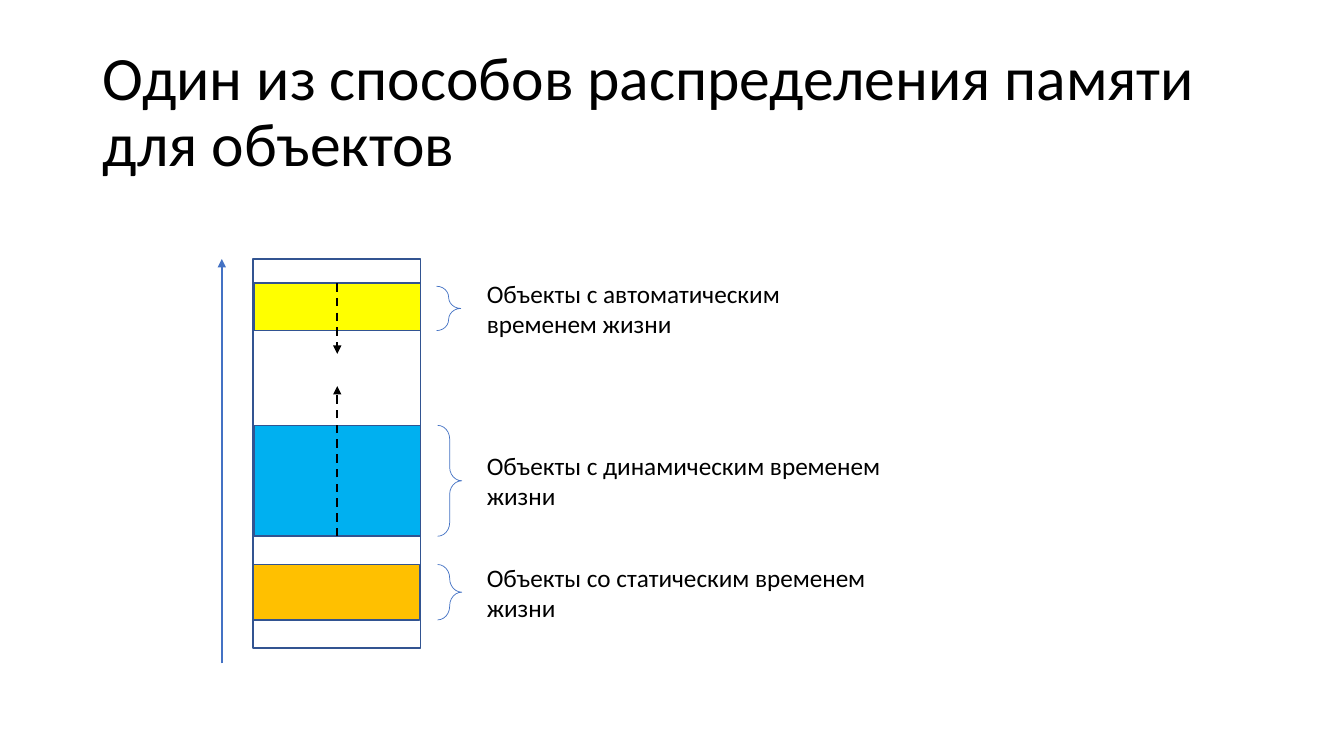
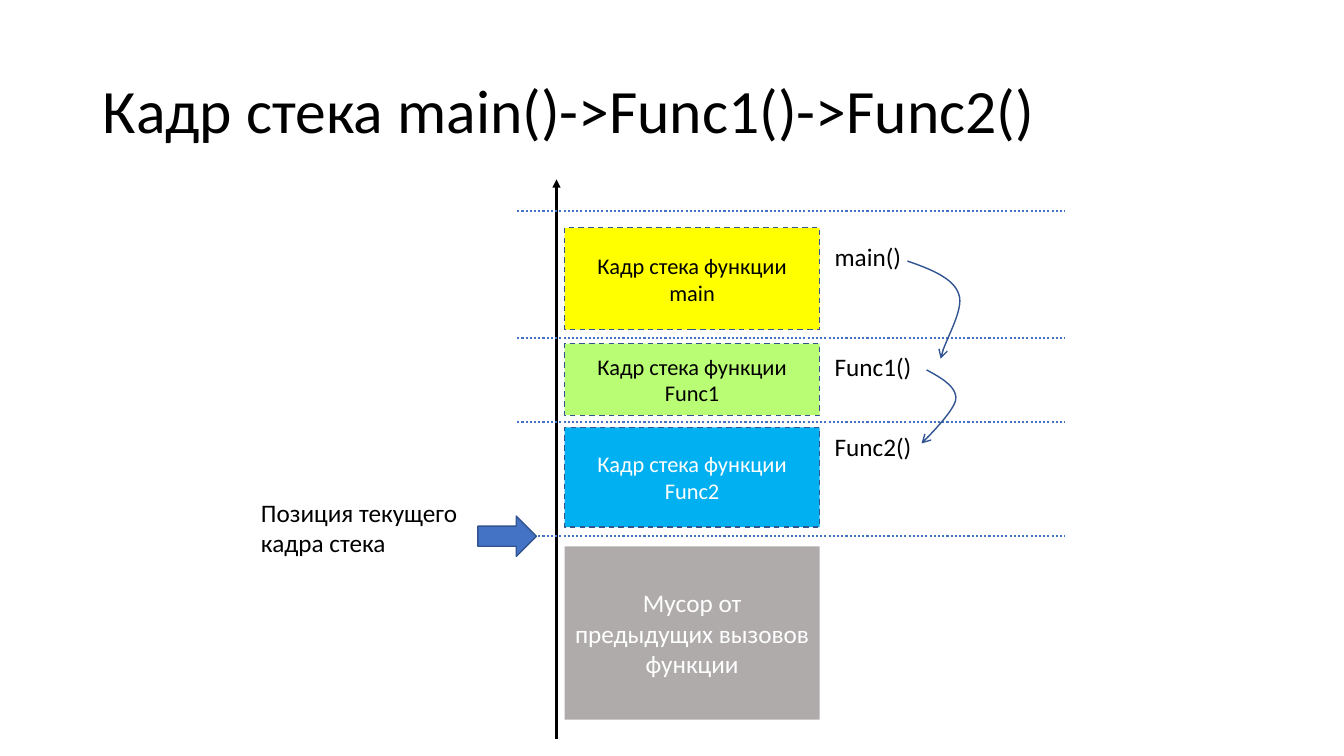
from dataclasses import dataclass

from lxml.etree import SubElement
from pptx import Presentation
from pptx.dml.color import RGBColor as Rgb
from pptx.enum.dml import MSO_LINE as Dash
from pptx.enum.shapes import MSO_CONNECTOR as Conn, MSO_SHAPE as Kind
from pptx.enum.text import MSO_ANCHOR as Anchor, MSO_AUTO_SIZE as Fit, PP_ALIGN as Align
from pptx.oxml.ns import qn
from pptx.util import Emu, Pt


@dataclass(frozen=True)
class Theme:
    font: str = "Calibri"
    black: str = "000000"
    white: str = "FFFFFF"
    blue: str = "4472C4"
    navy: str = "325491"
    yellow: str = "FFFF00"
    cyan: str = "00B0F0"
    orange: str = "FFC000"
    green: str = "B8FD73"
    gray: str = "AFABAB"
    head: int = 44
    body: int = 18
    small: int = 16
    hair: float = 0.5
    thin: float = 1
    thick: float = 1.5


T = Theme()
SCALE = 9144
SIZE = (1333, 750)
TITLE = (92, 40, 1150, 145)

MEMORY = {
    "title": "Один из способов распределения памяти для объектов",
    "column": (251, 257, 166, 386),
    "axis": (220, 658, 257),
    "zones": [
        {"box": (252, 281, 165, 47), "fill": T.yellow, "brace": (433, 284, 24, 44),
         "label": (473, 271, 378, 71), "text": "Объекты с автоматическим временем жизни",
         "grow": (0, 351)},
        {"box": (252, 422, 165, 110), "fill": T.cyan, "brace": (434, 422, 24, 110),
         "label": (473, 442, 440, 71), "text": "Объекты с динамическим временем жизни",
         "grow": (2, 383)},
        {"box": (251, 560, 165, 55), "fill": T.orange, "brace": (434, 560, 24, 55),
         "label": (473, 553, 447, 71), "text": "Объекты со статическим временем жизни",
         "grow": None},
    ],
}

STACK = {
    "title": "Кадр стека main()->Func1()->Func2()",
    "left": 560,
    "width": 253,
    "frames": [
        ("main", 226, 101, T.yellow, T.black),
        ("Func1", 341, 71, T.green, T.black),
        ("Func2", 424, 99, T.cyan, T.white),
    ],
    "calls": [("main()", 234, 87), ("Func1()", 344, 97), ("Func2()", 423, 97)],
    "axis": (552, 733, 178),
    "rules": (513, 1056, [209, 335, 419, 532]),
    "curves": [
        [(900, 259), (923, 267), (946, 276), (951, 292),
         (957, 308), (935, 341), (933, 356)],
        [(919, 367), (934, 375), (949, 384), (948, 396),
         (947, 408), (914, 440), (914, 440)],
    ],
    "junk": ("Мусор от предыдущих вызовов функции", 542, 172),
    "arrow": (474, 512, 58, 40),
    "note": ("Позиция текущего кадра стека", (249, 488, 225, 71)),
}


def px(val):
    return Emu(round(val * SCALE))


def emu(box):
    return [px(val) for val in box]


def write(frame, text, size, color, align=Align.LEFT):
    para = frame.paragraphs[0]
    para.alignment = align
    run = para.add_run()
    run.text = text
    run.font.name = T.font
    run.font.size = Pt(size)
    run.font.color.rgb = Rgb.from_string(color)
    return para


def stroke(item, color, width, dash=None, tip=None):
    line = item.line
    line.color.rgb = Rgb.from_string(color)
    line.width = Pt(width)
    if dash:
        line.dash_style = dash
    if tip:
        SubElement(item.element.spPr.find(qn("a:ln")), qn("a:tailEnd"), type=tip)


def start(deck, text):
    slide = deck.slides.add_slide(deck.slide_layouts[5])
    title = slide.shapes.title
    title.left, title.top, title.width, title.height = emu(TITLE)
    frame = title.text_frame
    frame.auto_size = Fit.NONE
    frame.word_wrap = True
    frame.vertical_anchor = Anchor.MIDDLE
    write(frame, text, T.head, T.black).line_spacing = 0.9
    return slide


def shape(slide, kind, box, fill=None, line=T.navy, width=T.thin, dash=None):
    item = slide.shapes.add_shape(kind, *emu(box))
    item.shadow.inherit = False
    if fill:
        item.fill.solid()
        item.fill.fore_color.rgb = Rgb.from_string(fill)
    else:
        item.fill.background()
    if line:
        stroke(item, line, width, dash)
    else:
        item.line.fill.background()
    return item


def caption(item, text, size, color):
    frame = item.text_frame
    frame.word_wrap = True
    frame.vertical_anchor = Anchor.MIDDLE
    write(frame, text, size, color, Align.CENTER)


def label(slide, box, text, wrap=True):
    frame = slide.shapes.add_textbox(*emu(box)).text_frame
    frame.word_wrap = wrap
    frame.auto_size = Fit.SHAPE_TO_FIT_TEXT
    write(frame, text, T.body, T.black)


def link(slide, ends, color, dash=None, tip=None):
    item = slide.shapes.add_connector(Conn.STRAIGHT, *emu(ends))
    stroke(item, color, T.thick, dash, tip)
    SubElement(item.element.spPr, qn("a:effectLst"))
    return item


def bend(knots, steps=16):
    dots = [knots[0]]
    for pos in range(0, len(knots) - 1, 3):
        part = knots[pos:pos + 4]
        for step in range(1, steps + 1):
            t = step / steps
            mix = ((1 - t) ** 3, 3 * t * (1 - t) ** 2, 3 * t * t * (1 - t), t ** 3)
            dots.append(tuple(sum(m * dot[axis] for m, dot in zip(mix, part))
                              for axis in (0, 1)))
    return dots


def curve(slide, knots):
    first, *rest = [emu(dot) for dot in bend(knots)]
    pen = slide.shapes.build_freeform(*first, scale=1.0)
    pen.add_line_segments(rest, close=False)
    item = pen.convert_to_shape()
    item.shadow.inherit = False
    item.fill.background()
    stroke(item, T.navy, T.thin, tip="arrow")


def memory(deck, data):
    slide = start(deck, data["title"])
    shape(slide, Kind.RECTANGLE, data["column"], T.white)
    for zone in data["zones"]:
        block = shape(slide, Kind.RECTANGLE, zone["box"], zone["fill"])
        brace = shape(slide, Kind.RIGHT_BRACE, zone["brace"], line=T.blue, width=T.hair)
        brace.adjustments[0] = 0.56
        label(slide, zone["label"], zone["text"])
        if zone["grow"]:
            side, stop = zone["grow"]
            left, top, width, _ = zone["box"]
            mid = left + width / 2
            arrow = link(slide, (mid, top, mid, stop), T.black, Dash.DASH, "triangle")
            arrow.begin_connect(block, side)
    x, low, high = data["axis"]
    link(slide, (x, low, x, high), T.blue, tip="triangle")


def stack(deck, data):
    slide = start(deck, data["title"])
    left, width = data["left"], data["width"]
    for name, top, height, fill, color in data["frames"]:
        block = shape(slide, Kind.RECTANGLE, (left, top, width, height), fill,
                      dash=Dash.DASH)
        caption(block, f"Кадр стека функции {name}", T.small, color)
    for text, top, wide in data["calls"]:
        label(slide, (818, top, wide, 40), text, False)
    x, low, high = data["axis"]
    link(slide, (x, low, x, high), T.black, tip="triangle")
    begin, end, rows = data["rules"]
    for y in rows:
        link(slide, (begin, y, end, y), T.blue, Dash.ROUND_DOT)
    for knots in data["curves"]:
        curve(slide, knots)
    text, top, height = data["junk"]
    junk = shape(slide, Kind.RECTANGLE, (left, top, width, height), T.gray, None)
    caption(junk, text, T.body, T.white)
    shape(slide, Kind.RIGHT_ARROW, data["arrow"], T.blue)
    text, box = data["note"]
    label(slide, box, text)


def main():
    deck = Presentation()
    deck.slide_width, deck.slide_height = emu(SIZE)
    memory(deck, MEMORY)
    stack(deck, STACK)
    deck.save("out.pptx")


if __name__ == "__main__":
    main()
